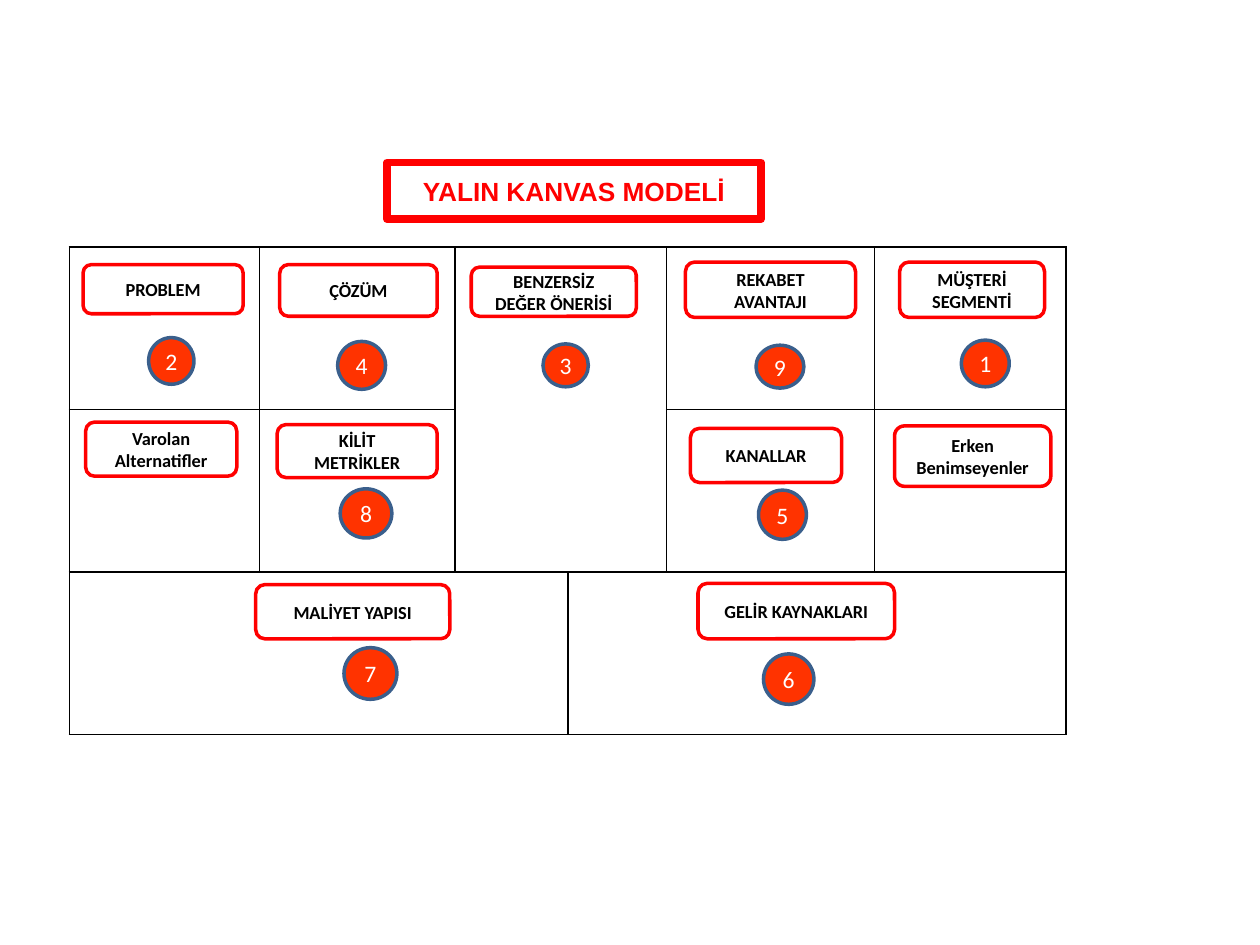
from itertools import accumulate

from lxml.etree import SubElement
from pptx import Presentation
from pptx.dml.color import RGBColor
from pptx.enum.shapes import MSO_SHAPE
from pptx.enum.text import MSO_ANCHOR, MSO_AUTO_SIZE, PP_ALIGN
from pptx.oxml.ns import qn
from pptx.util import Inches, Pt

COLORS = {"red": "FF0000", "badge": "FF3300", "badge_line": "3A5F8C",
          "black": "000000", "white": "FFFFFF"}
COLUMNS = [1.51, 1.55, 0.9, 0.78, 1.65, 1.52]
ROWS = [1.29] * 3
LEFT, TOP = 0.55, 1.96
column_edges = list(accumulate(COLUMNS, initial=LEFT))
row_edges = list(accumulate(ROWS, initial=TOP))


def format_shape(shape, text, line, line_width, font_name, size, color, bold=False):
    """Outline the shape and write its centred text, one paragraph per line."""
    shape.line.color.rgb = RGBColor.from_string(COLORS[line])
    shape.line.width = Pt(line_width)
    frame = shape.text_frame
    frame.word_wrap = True
    frame.auto_size = MSO_AUTO_SIZE.NONE
    frame.vertical_anchor = MSO_ANCHOR.MIDDLE
    frame.margin_left = frame.margin_right = frame.margin_top = frame.margin_bottom = 0
    for index, words in enumerate(text.split("\n")):
        paragraph = frame.add_paragraph() if index else frame.paragraphs[0]
        paragraph.alignment = PP_ALIGN.CENTER
        run = paragraph.add_run()
        run.text = words
        run.font.name = font_name
        run.font.size = Pt(size)
        run.font.bold = bold
        run.font.color.rgb = RGBColor.from_string(COLORS[color])


def add_in_cell(preset, row, column, box, fill=None):
    """Add a shape whose box starts at the top left corner of a cell."""
    across, down, width, height = box
    shape = slide.shapes.add_shape(
        preset, Inches(column_edges[column] + across), Inches(row_edges[row] + down),
        Inches(width), Inches(height))
    shape.shadow.inherit = False
    if fill:
        shape.fill.solid()
        shape.fill.fore_color.rgb = RGBColor.from_string(COLORS[fill])
    else:
        shape.fill.background()
    return shape


presentation = Presentation()
presentation.slide_width, presentation.slide_height = Inches(10), Inches(7.5)
slide = presentation.slides.add_slide(presentation.slide_layouts[5])

# Title
title = slide.shapes.title
title.left, title.top = Inches(3.07), Inches(1.29)
title.width, title.height = Inches(2.97), Inches(0.45)
geometry = SubElement(title.element.spPr, qn("a:prstGeom"), prst="roundRect")
SubElement(geometry, qn("a:avLst"))
format_shape(title, "YALIN KANVAS MODELİ", "red", 4.25, "Arial", 15, "red", True)

# Canvas grid
table = slide.shapes.add_table(
    len(ROWS), len(COLUMNS), Inches(LEFT), Inches(TOP),
    Inches(sum(COLUMNS)), Inches(sum(ROWS))).table
table.first_row = table.horz_banding = False
for column, width in zip(table.columns, COLUMNS):
    column.width = Inches(width)
for row, height in zip(table.rows, ROWS):
    row.height = Inches(height)
for cell in table.iter_cells():
    properties = cell._tc.get_or_add_tcPr()
    for side in ("lnL", "lnR", "lnT", "lnB"):
        border = SubElement(properties, qn(f"a:{side}"), w=str(Pt(1)))
        border_fill = SubElement(border, qn("a:solidFill"))
        SubElement(border_fill, qn("a:srgbClr"), val=COLORS["black"])
    cell.fill.background()
for first, last in [((0, 2), (1, 3)), ((2, 0), (2, 2)), ((2, 3), (2, 5))]:
    table.cell(*first).merge(table.cell(*last))

# Row, column, label, label box, number, badge box (boxes in inches from the cell corner)
SECTIONS = [
    (0, 0, "PROBLEM", (0.11, 0.14, 1.27, 0.39), "2", (0.63, 0.72, 0.36, 0.37)),
    (0, 1, "ÇÖZÜM", (0.16, 0.14, 1.25, 0.41), "4", (0.62, 0.75, 0.38, 0.38)),
    (0, 2, "BENZERSİZ\nDEĞER ÖNERİSİ", (0.13, 0.16, 1.31, 0.39), "3", (0.7, 0.77, 0.36, 0.34)),
    (0, 4, "REKABET\nAVANTAJI", (0.15, 0.12, 1.35, 0.44), "9", (0.71, 0.78, 0.38, 0.34)),
    (0, 5, "MÜŞTERİ\nSEGMENTİ", (0.2, 0.12, 1.15, 0.44), "1", (0.69, 0.74, 0.38, 0.37)),
    (1, 0, "Varolan\nAlternatifler", (0.13, 0.1, 1.2, 0.43), None, None),
    (1, 1, "KİLİT\nMETRİKLER", (0.14, 0.12, 1.27, 0.42), "8", (0.64, 0.63, 0.41, 0.39)),
    (1, 4, "KANALLAR", (0.19, 0.15, 1.2, 0.43), "5", (0.73, 0.64, 0.38, 0.39)),
    (1, 5, "Erken\nBenimseyenler", (0.16, 0.13, 1.24, 0.48), None, None),
    (2, 0, "MALİYET YAPISI", (1.48, 0.1, 1.54, 0.43), "7", (2.18, 0.6, 0.42, 0.41)),
    (2, 3, "GELİR KAYNAKLARI", (1.03, 0.09, 1.56, 0.44), "6", (1.55, 0.65, 0.4, 0.4)),
]
for row, column, text, label_box, number, badge_box in SECTIONS:
    label = add_in_cell(MSO_SHAPE.ROUNDED_RECTANGLE, row, column, label_box)
    format_shape(label, text, "red", 2, "Calibri", 10.5, "black", True)
    if number:
        badge = add_in_cell(MSO_SHAPE.OVAL, row, column, badge_box, "badge")
        format_shape(badge, number, "badge_line", 2, "Calibri", 13.5, "white")

presentation.save("out.pptx")
